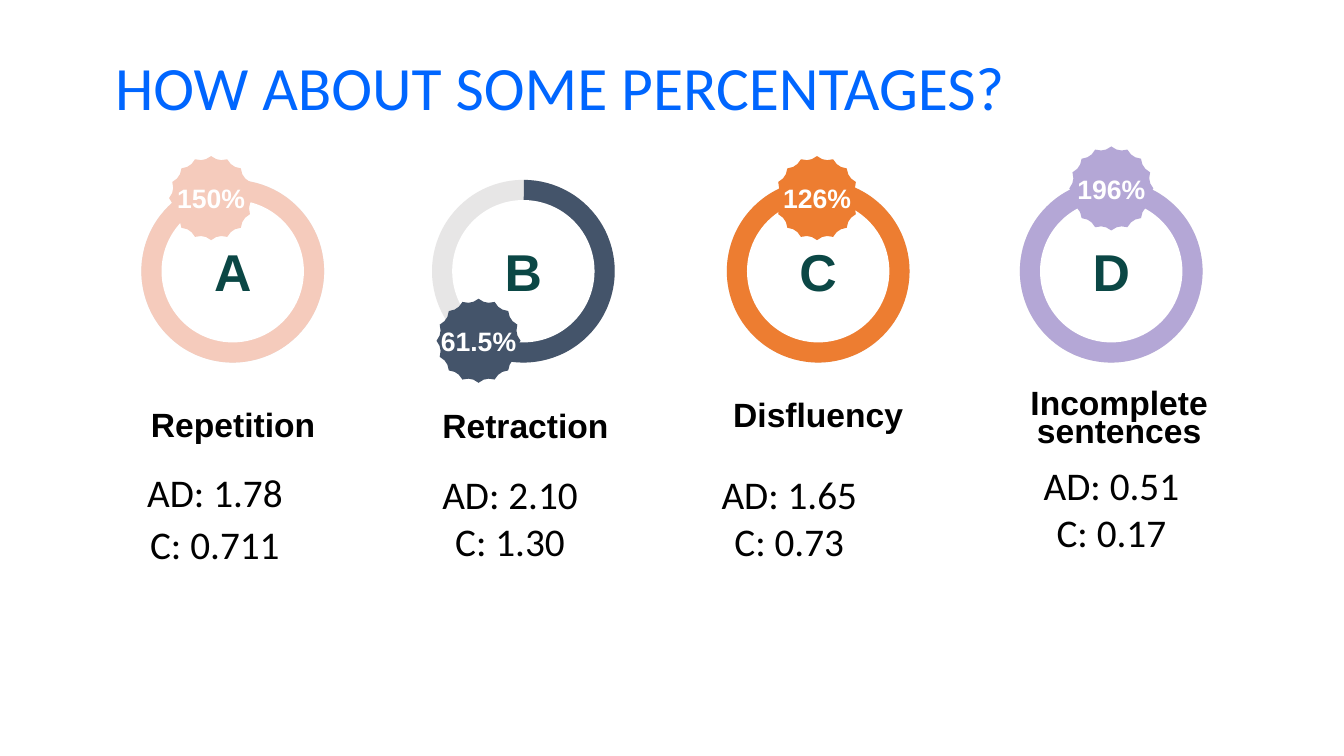
from math import cos, pi, sin

from pptx import Presentation
from pptx.dml.color import RGBColor
from pptx.enum.shapes import MSO_SHAPE as Preset
from pptx.enum.text import MSO_ANCHOR as Anchor, MSO_AUTO_SIZE as AutoSize, PP_ALIGN as Align
from pptx.oxml.ns import qn
from pptx.util import Pt

RING_TOP, RING_SIZE, RING_WIDTH = 128.5, 130.5, 14.4
PIE_START = 162.18
LOBES, STEPS = 16, 48

CATEGORIES = [
    dict(letter="A", colour="F5CBBC", ring_left=101, pie_end=161.3,
         percent="150%", badge=(150.8, 141.5),
         label="Repetition", label_box=(69, 288, 195, 36.7), label_spacing=0.9,
         scores=["AD: 1.78", "C: 0.711"], score_box=(75, 337.4, 157, 75.6), score_spacing=0.8),
    dict(letter="B", colour="44546A", ring_left=308.6, pie_end=65.81,
         percent="61.5%", badge=(341.8, 243.4),
         label="Retraction", label_box=(277.8, 288.7, 195, 36.7), label_spacing=0.9,
         scores=["AD: 2.10", "C: 1.30"], score_box=(248.4, 341.3, 231.8, 101.5), score_spacing=0.7),
    dict(letter="C", colour="ED7D31", ring_left=519.2, pie_end=156.93,
         percent="126%", badge=(583.6, 141.5),
         label="Disfluency", label_box=(486.9, 281.1, 195, 36.7), label_spacing=0.9,
         scores=["AD: 1.65", "C: 0.73"], score_box=(447.9, 341.3, 231.8, 101.5), score_spacing=0.7),
    dict(letter="D", colour="B4A7D6", ring_left=728.5, pie_end=159.44,
         percent="196%", badge=(793.8, 134.6),
         label="Incomplete sentences", label_box=(696.4, 277.2, 206, 48), label_spacing=0.7,
         scores=["AD: 0.51", "C: 0.17"], score_box=(678, 334.8, 231.8, 101.5), score_spacing=0.7),
]


def rgb(colour):
    return RGBColor.from_string(colour)


def write(shape, *lines, size, font="Arial", colour="000000", bold=False, align=Align.CENTER,
          spacing=1.0, before=0, anchor=Anchor.MIDDLE, inset=(7.2, 3.6), wrap=True):
    frame = shape.text_frame
    frame.auto_size = AutoSize.NONE
    frame.word_wrap = wrap
    frame.vertical_anchor = anchor
    frame.margin_left = frame.margin_right = Pt(inset[0])
    frame.margin_top = frame.margin_bottom = Pt(inset[1])
    frame.text = "\n".join(lines)
    for paragraph in frame.paragraphs:
        paragraph.alignment = align
        paragraph.line_spacing = spacing
        paragraph.space_before = Pt(before)
        paragraph.space_after = Pt(0)
        run_font = paragraph.runs[0].font
        run_font.name, run_font.size, run_font.bold = font, Pt(size), bold
        run_font.color.rgb = rgb(colour)


class PercentageSlide:
    title_colour, letter_colour = "0066FF", "0B4745"
    track_colour, paper = "E7E6E6", "FFFFFF"

    def __init__(self, deck):
        self.slide = deck.slides.add_slide(deck.slide_layouts[4])
        self.shapes = self.slide.shapes
        self.score_slots = [slot for slot in self.slide.placeholders
                            if slot.placeholder_format.idx in (1, 2, 3, 4)]

    def place(self, shape, box):
        shape.left, shape.top, shape.width, shape.height = (Pt(length) for length in box)

    def paint(self, shape, colour):
        shape.shadow.inherit = False
        shape.fill.solid()
        shape.fill.fore_color.rgb = rgb(colour)
        shape.line.fill.background()
        return shape

    def disc(self, preset, left, top, size, colour):
        return self.paint(self.shapes.add_shape(preset, Pt(left), Pt(top), Pt(size), Pt(size)), colour)

    def title(self, text):
        self.place(self.shapes.title, (75, 34.6, 810, 59.8))
        write(self.shapes.title, text, size=44, font="Calibri", colour=self.title_colour,
              align=Align.LEFT, spacing=0.9)

    def ring(self, letter, left, colour, pie_end):
        self.disc(Preset.OVAL, left, RING_TOP, RING_SIZE, self.track_colour)
        share = self.disc(Preset.PIE, left, RING_TOP, RING_SIZE, colour)
        share.adjustments[0], share.adjustments[1] = PIE_START, pie_end
        hole = self.disc(Preset.OVAL, left + RING_WIDTH, RING_TOP + RING_WIDTH,
                         RING_SIZE - 2 * RING_WIDTH, self.paper)
        write(hole, letter, size=37, colour=self.letter_colour, bold=True, inset=(9.4, 9.4))

    def badge(self, percent, centre, colour):
        rim = []
        for step in range(STEPS):
            angle = 2 * pi * step / STEPS
            radius = 28.7 + 1.3 * cos(LOBES * angle)
            rim.append((Pt(centre[0] + radius * sin(angle)), Pt(centre[1] - radius * cos(angle))))
        outline = self.shapes.build_freeform(*rim[0])
        outline.add_line_segments(rim[1:], close=True)
        seal = self.paint(outline.convert_to_shape(), colour)
        write(seal, percent, size=19, colour=self.paper, bold=True, inset=(0, 9.4), wrap=False)

    def label(self, text, box, spacing):
        caption = self.shapes.add_textbox(*(Pt(length) for length in box))
        write(caption, text, size=24, bold=True, spacing=spacing, before=10, anchor=Anchor.TOP)

    def scores(self, lines, box, spacing):
        slot = self.score_slots.pop(0)
        self.place(slot, box)
        write(slot, *lines, size=28, font="Calibri", spacing=spacing, before=10, anchor=Anchor.TOP)
        for paragraph in slot.text_frame.paragraphs:
            properties = paragraph._p.get_or_add_pPr()
            properties.set("marL", "0")
            properties.set("indent", "0")
            properties.append(properties.makeelement(qn("a:buNone"), {}))


def main():
    deck = Presentation()
    deck.slide_width, deck.slide_height = Pt(960), Pt(540)
    page = PercentageSlide(deck)
    page.title("HOW ABOUT SOME PERCENTAGES?")
    for category in CATEGORIES:
        page.ring(category["letter"], category["ring_left"], category["colour"], category["pie_end"])
        page.badge(category["percent"], category["badge"], category["colour"])
        page.label(category["label"], category["label_box"], category["label_spacing"])
        page.scores(category["scores"], category["score_box"], category["score_spacing"])
    deck.save("out.pptx")


if __name__ == "__main__":
    main()
